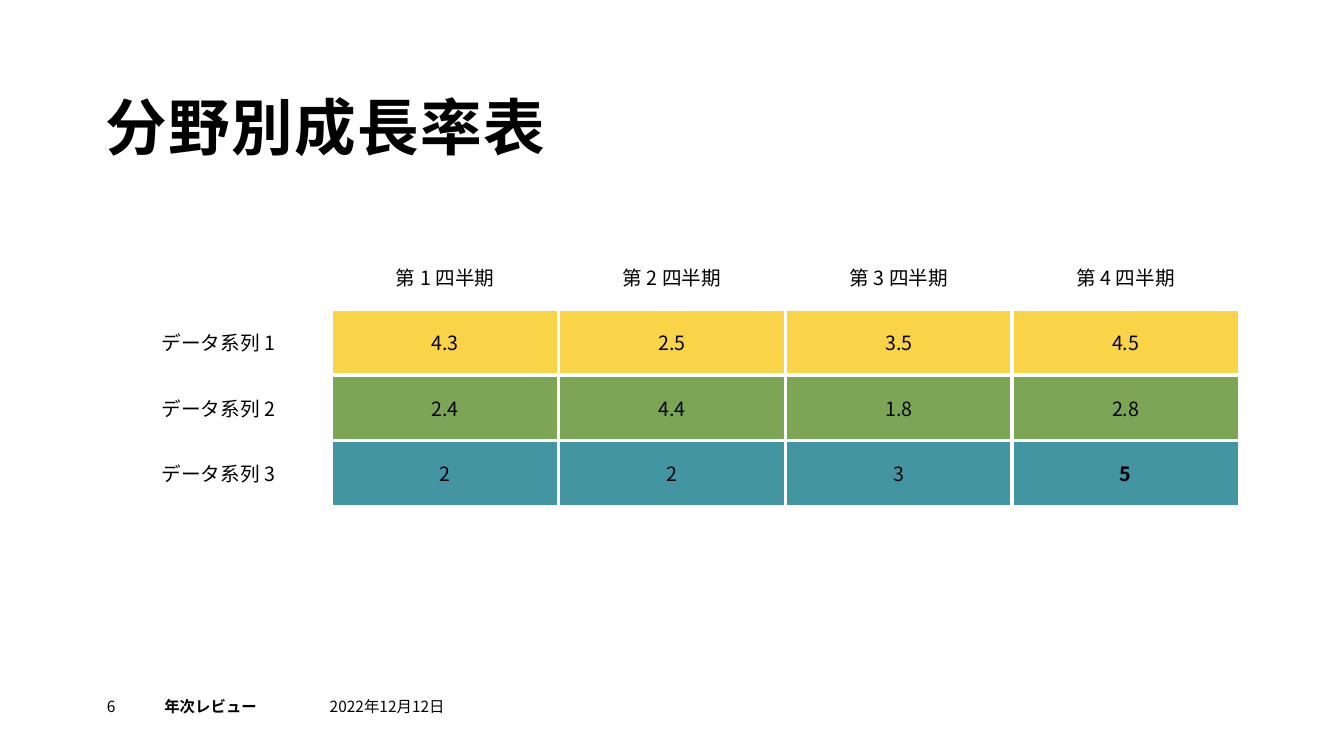
from lxml.etree import SubElement
from pptx import Presentation
from pptx.dml.color import RGBColor
from pptx.enum.text import MSO_ANCHOR, PP_ALIGN
from pptx.oxml import parse_xml
from pptx.oxml.ns import nsdecls, qn
from pptx.util import Pt

PX = 9144
FONT = "Noto Sans CJK JP"
HEADER = ["", "第 1 四半期", "第 2 四半期", "第 3 四半期", "第 4 四半期"]
SERIES = [
    ("データ系列 1", "4.3", "2.5", "3.5", "4.5"),
    ("データ系列 2", "2.4", "4.4", "1.8", "2.8"),
    ("データ系列 3", "2", "2", "3", "5"),
]
SERIES_COLORS = ["F9D448", "7CA655", "4495A2"]
TEXTS = [
    ("分野別成長率表", 105, 96, 827, 67, 44, True),
    ("6", 106, 692, 57, 27, 11, False),
    ("年次レビュー", 163, 692, 164, 27, 11, True),
    ("2022年12月12日", 327, 692, 202, 27, 11, False),
]


def color(value):
    return RGBColor.from_string(value)


def add_span(para, text, size, bold):
    span = para.add_run()
    span.text = text
    span.font.size = Pt(size)
    span.font.bold = bold
    span.font.name = FONT
    span.font.color.rgb = color("000000")
    properties = span.font._element
    SubElement(properties, qn("a:ea")).set("typeface", FONT)
    return properties


deck = Presentation()
deck.slide_width = 1333 * PX
deck.slide_height = 750 * PX
page = deck.slides.add_slide(deck.slide_layouts[6])
page.background.fill.solid()
page.background.fill.fore_color.rgb = color("FFFFFF")

for text, left, top, width, height, size, bold in TEXTS:
    box = page.shapes.add_textbox(left * PX, top * PX, width * PX, height * PX)
    frame = box.text_frame
    frame.word_wrap = True
    frame.margin_left = frame.margin_top = frame.margin_right = frame.margin_bottom = 0
    para = frame.paragraphs[0]
    properties = add_span(para, text, size, bold)
    if size == 44:
        frame.vertical_anchor = MSO_ANCHOR.BOTTOM
        para.line_spacing = 0.9
        properties.set("spc", "100")

rows = [HEADER, *SERIES]
table = page.shapes.add_table(4, 5, 104 * PX, 242 * PX, 1125 * PX, 260 * PX).table
table.first_row = False
table.horz_banding = False
for column in table.columns:
    column.width = 225 * PX
for row in table.rows:
    row.height = 65 * PX

for r, values in enumerate(rows):
    for c, text in enumerate(values):
        cell = table.cell(r, c)
        cell.vertical_anchor = MSO_ANCHOR.MIDDLE
        if r and c:
            cell.fill.solid()
            cell.fill.fore_color.rgb = color(SERIES_COLORS[r - 1])
        else:
            cell.fill.background()
        para = cell.text_frame.paragraphs[0]
        para.alignment = PP_ALIGN.CENTER
        if text:
            add_span(para, text, 14, text == "5")
        neighbours = [("L", r, c - 1), ("R", r, c + 1), ("T", r - 1, c), ("B", r + 1, c)]
        for index, (side, near_row, near_column) in enumerate(neighbours):
            inside = r and c and 0 < near_row < 4 and 0 < near_column < 5
            points = 3 if inside else 1 if r == 0 and side != "B" else 2.25
            border = parse_xml(
                f'<a:ln{side} {nsdecls("a")} w="{Pt(points)}"><a:solidFill>'
                f'<a:srgbClr val="FFFFFF"/></a:solidFill></a:ln{side}>'
            )
            cell._tc.get_or_add_tcPr().insert(index, border)

deck.save("out.pptx")
